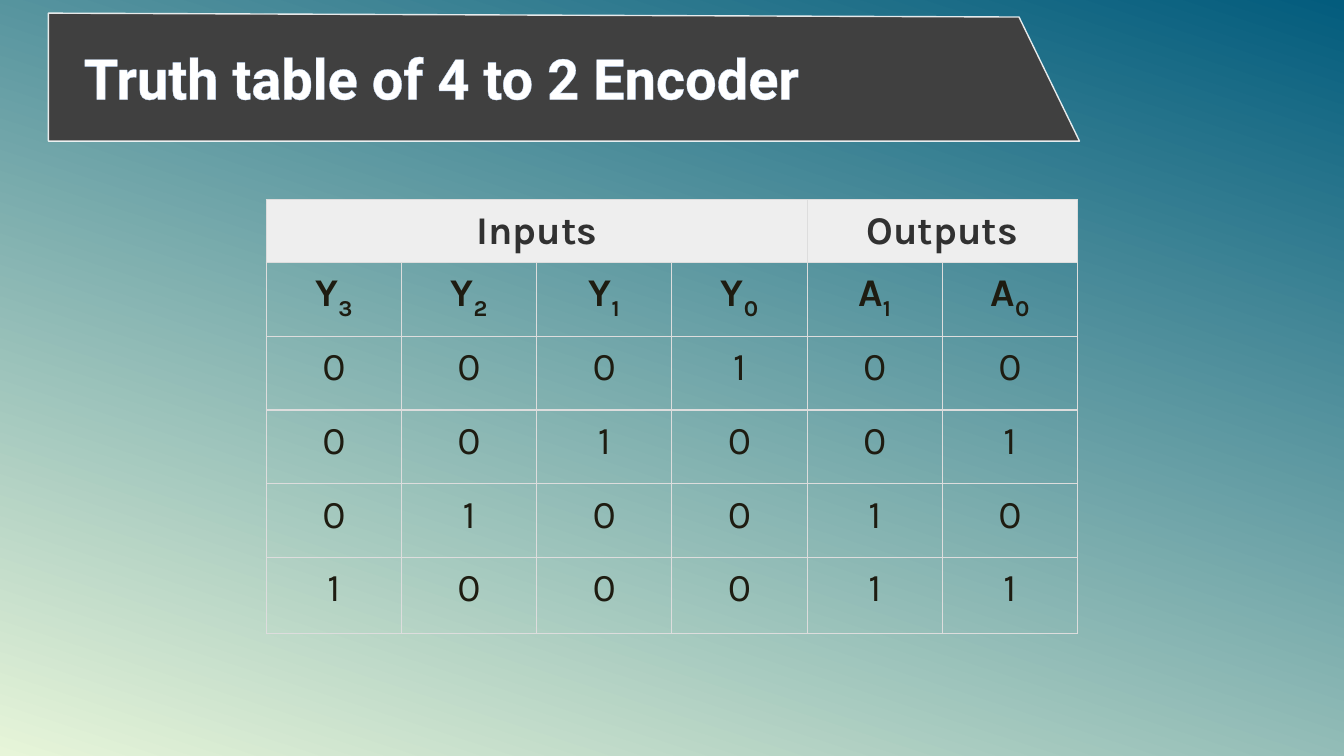
from pptx import Presentation
from pptx import util as u
from pptx.dml.color import RGBColor
from pptx.enum import text
from pptx.oxml import parse_xml
from pptx.oxml.ns import nsdecls

TITLE = "Truth table of 4 to 2 Encoder"
GROUPS = [("Inputs", 0, 3), ("Outputs", 4, 5)]
SIGNALS = ["Y3", "Y2", "Y1", "Y0", "A1", "A0"]
STATES = ["000100", "001001", "010010", "100011"]
BANNER = [(34.6, 9.4), (727.9, 12.2), (771.1, 100.8), (34.6, 100.8)]
TITLE_BOX = (52.6, 27.4, 754.6, 55.4)
TABLE_LEFT, TABLE_TOP, COLUMN_WIDTH = 190.2, 142.7, 96.6
ROW_HEIGHTS = [40, 52.7, 52.7, 52.7, 52.7, 54]
THEME = dict(
    sky=["E7F5D9", "035C7D"], banner="404040", white="FFFFFF", glow="C0D7F5",
    head_fill="EEEEEE", head_text="313131", ink="1E1C11", border="DDDDDD",
    title_font="Roboto", table_font="Karla", title_size=40, table_size=28,
    inset=6,
)


def rgb(name):
    return RGBColor.from_string(THEME[name])


def line_xml(tag, color, width, alpha=100):
    return parse_xml(
        f'<a:{tag} {nsdecls("a")} w="{u.Pt(width)}"><a:solidFill>'
        f'<a:srgbClr val="{THEME[color]}"><a:alpha val="{alpha * 1000}"/></a:srgbClr>'
        f'</a:solidFill></a:{tag}>')


def set_font(font, face, size, color, bold):
    font.name, font.size, font.bold = THEME[face], u.Pt(THEME[size]), bold
    font.color.rgb = rgb(color)


def add_background(s):
    fill = s.background.fill
    fill.gradient()
    fill.gradient_angle = 72
    for stop, color in zip(fill.gradient_stops, THEME["sky"]):
        stop.color.rgb = RGBColor.from_string(color)


def add_title(s):
    points = [(u.Pt(x), u.Pt(y)) for x, y in BANNER]
    builder = s.shapes.build_freeform(*points[0])
    builder.add_line_segments(points[1:], close=True)
    banner = builder.convert_to_shape()
    banner.shadow.inherit = False
    banner.fill.solid()
    banner.fill.fore_color.rgb = rgb("banner")
    old_line = banner.line._get_or_add_ln()
    old_line.getparent().replace(old_line, line_xml("ln", "white", 1, 88))

    title = s.shapes.title
    title.element.addprevious(banner.element)
    title.left, title.top, title.width, title.height = map(u.Pt, TITLE_BOX)
    tf = title.text_frame
    tf.text = TITLE
    tf.word_wrap = True
    tf.auto_size = text.MSO_AUTO_SIZE.NONE
    tf.vertical_anchor = text.MSO_ANCHOR.MIDDLE
    p = tf.paragraphs[0]
    p.alignment = text.PP_ALIGN.LEFT
    r = p.runs[0]
    set_font(r.font, "title_font", "title_size", "white", True)
    r.font.fill._xPr.insert(0, line_xml("ln", "glow", 0.8))


def fill_cell(cell, label, row):
    p = cell.text_frame.paragraphs[0]
    p.alignment = text.PP_ALIGN.CENTER
    set_font(p.font, "table_font", "table_size", "ink" if row else "head_text", row < 2)
    parts = label if row == 1 else [label]
    for i, part in enumerate(parts):
        r = p.add_run()
        r.text = part
        if i:
            r.font._element.set("baseline", "-25000")


def add_truth_table(s):
    rows, cols = len(ROW_HEIGHTS), len(SIGNALS)
    table = s.shapes.add_table(
        rows, cols, u.Pt(TABLE_LEFT), u.Pt(TABLE_TOP),
        u.Pt(COLUMN_WIDTH * cols), u.Pt(sum(ROW_HEIGHTS))).table
    table.first_row = table.horz_banding = False
    for column in table.columns:
        column.width = u.Pt(COLUMN_WIDTH)
    for row, height in zip(table.rows, ROW_HEIGHTS):
        row.height = u.Pt(height)
    for label, first, last in GROUPS:
        table.cell(0, first).merge(table.cell(0, last))
        fill_cell(table.cell(0, first), label, 0)
    for row, labels in enumerate([SIGNALS, *STATES], 1):
        for col, label in enumerate(labels):
            fill_cell(table.cell(row, col), label, row)
    for i, cell in enumerate(table.iter_cells()):
        cell.margin_left = cell.margin_right = u.Pt(THEME["inset"])
        cell.margin_top = cell.margin_bottom = u.Pt(THEME["inset"])
        tc_pr = cell._tc.get_or_add_tcPr()
        for side in ("lnL", "lnR", "lnT", "lnB"):
            tc_pr.append(line_xml(side, "border", 1))
        if i < cols:
            cell.fill.solid()
            cell.fill.fore_color.rgb = rgb("head_fill")
        else:
            cell.fill.background()


def main():
    prs = Presentation()
    prs.slide_width, prs.slide_height = u.Pt(960), u.Pt(540)
    s = prs.slides.add_slide(prs.slide_layouts[5])
    add_background(s)
    add_title(s)
    add_truth_table(s)
    prs.save("out.pptx")


if __name__ == "__main__":
    main()
